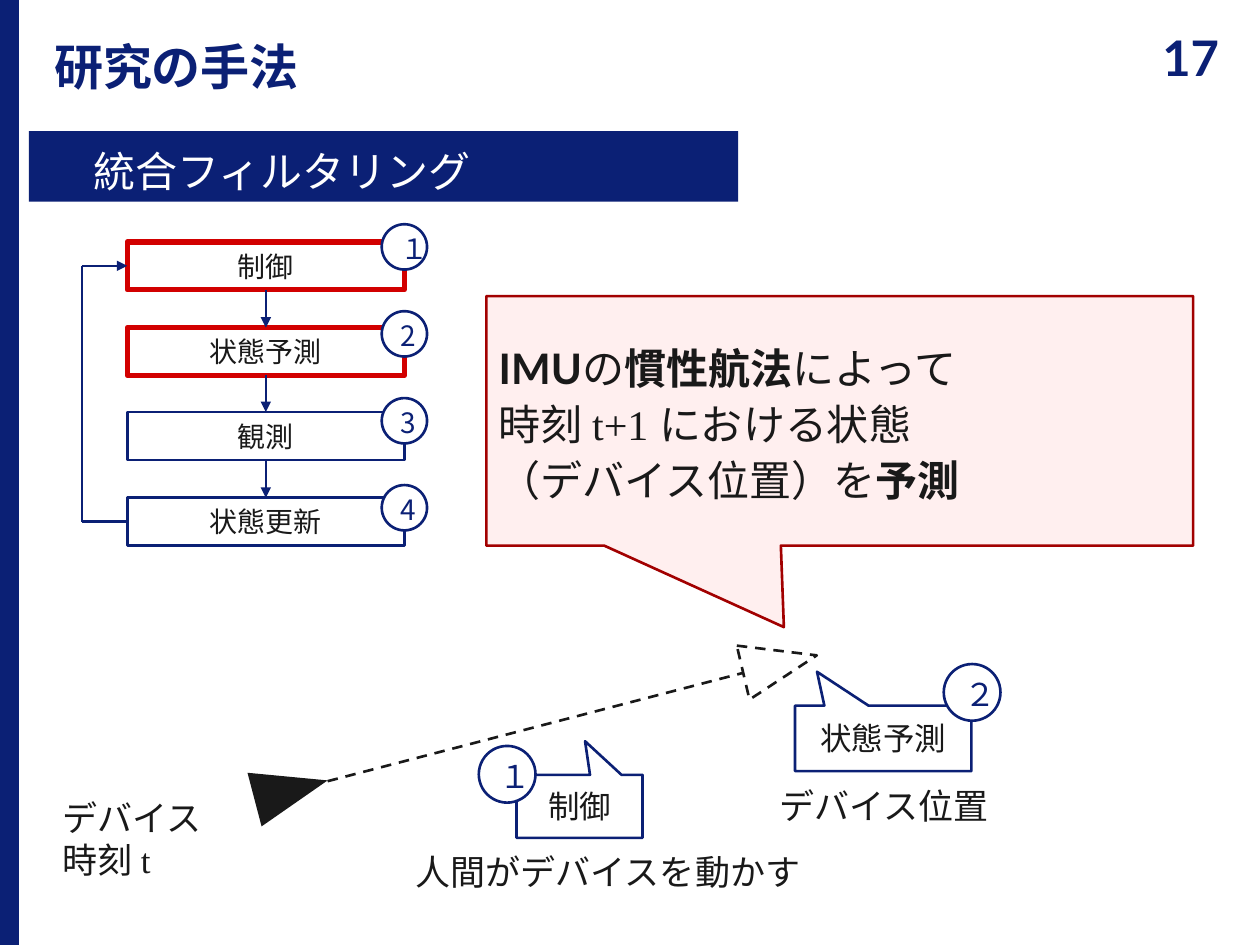
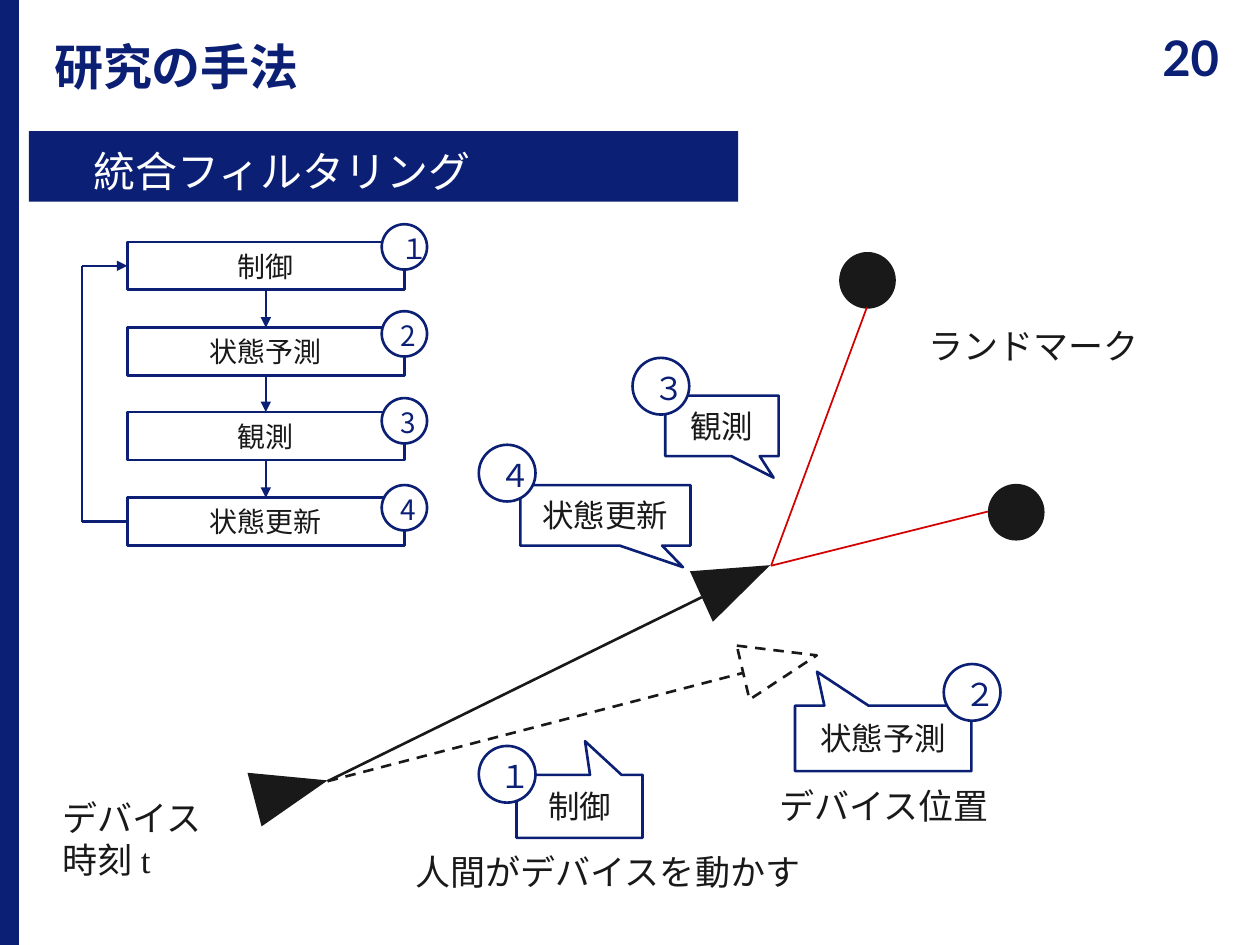
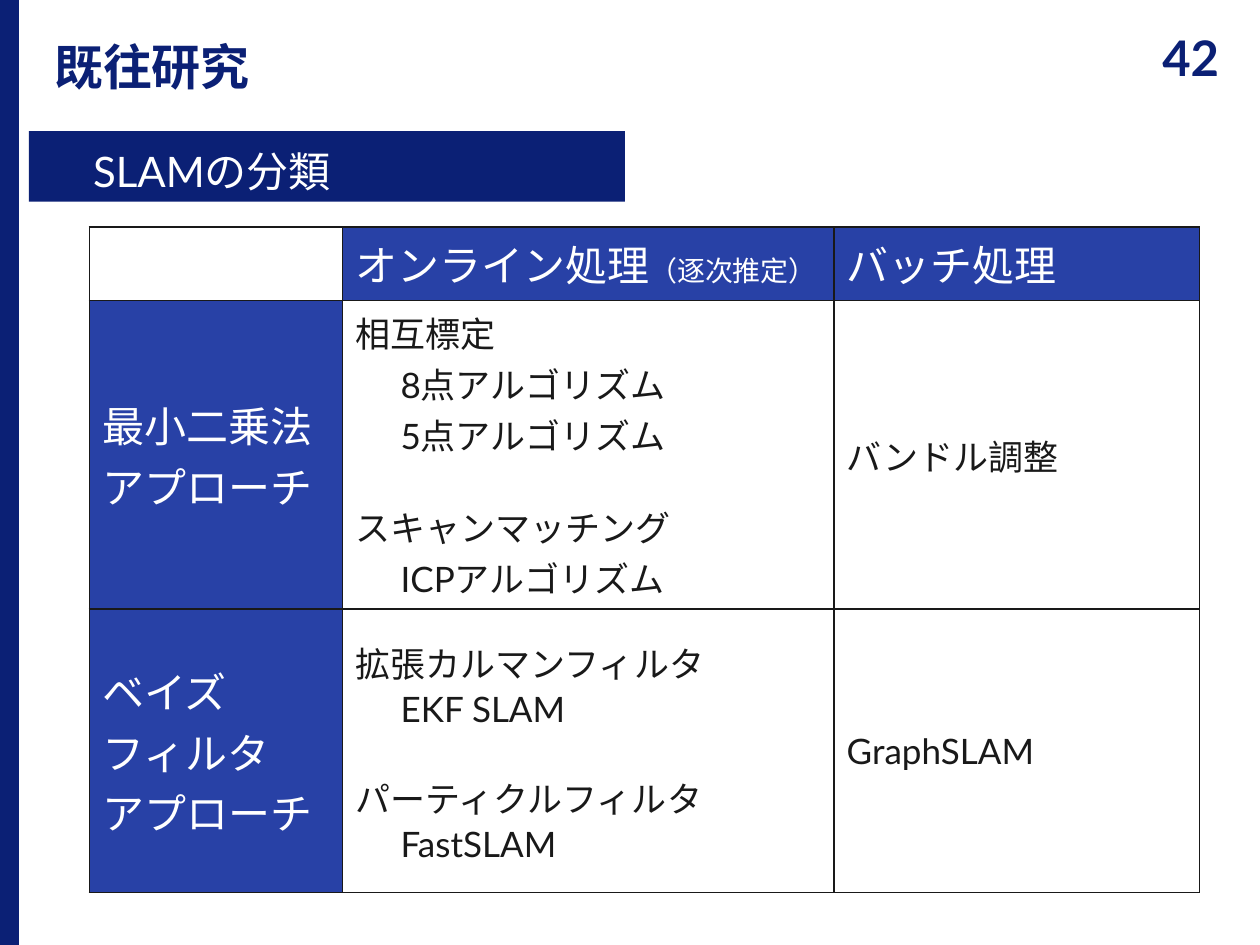
"""Build three slides on integrated filtering and the classification of SLAM."""
from dataclasses import dataclass

import pptx
import pptx.dml.color
import pptx.enum.dml
import pptx.enum.shapes
import pptx.enum.text
import pptx.oxml.ns
import pptx.slide
import pptx.util
from lxml import etree

PX = 9144
NAVY, BLUE, INK, WHITE = "0B2075", "2841A6", "191919", "FFFFFF"
RED, DARK_RED, PINK = "D20000", "A20000", "FFEFEF"
LATIN, SERIF, CJK = "Lato", "Times New Roman", "Noto Sans CJK JP"

SHAPE = pptx.enum.shapes.MSO_SHAPE
ALIGN = pptx.enum.text.PP_ALIGN
MIDDLE = pptx.enum.text.MSO_ANCHOR.MIDDLE
FIT = pptx.enum.text.MSO_AUTO_SIZE.SHAPE_TO_FIT_TEXT
DASH = pptx.enum.dml.MSO_LINE.DASH
qn = pptx.oxml.ns.qn

STEPS = ["制御", "状態予測", "観測", "状態更新"]
STEP_MARKS = ["１", "2", "3", "4"]
START, PREDICTED, UPDATED, POSE = (260, 620), (590, 534), (557, 474), (612, 449)
BADGE_INSETS = (10, 8, 10, 5)


@dataclass(frozen=True)
class Box:
    left: int
    top: int
    width: int
    height: int


@dataclass(frozen=True)
class Style:
    size: int
    color: str = INK
    name: str = LATIN
    bold: bool = False


@dataclass(frozen=True)
class Span:
    text: str
    style: Style


@dataclass(frozen=True)
class Callout:
    text: str
    box: Box
    tip: tuple[float, float]
    mark: str
    mark_left: int
    mark_top: int


@dataclass(frozen=True)
class Label:
    lines: list[str]
    box: Box
    name: str = LATIN


@dataclass(frozen=True)
class Line:
    text: str
    indented: bool = False
    gap: int = 0


MOTION_CALLOUTS = [
    Callout("制御", Box(410, 615, 100, 50), (0.044, -1.034), "１", 380, 592),
    Callout("状態予測", Box(631, 560, 140, 52), (-0.375, -1.017), "２", 749, 527),
]
UPDATE_CALLOUTS = [
    Callout("状態更新", Box(413, 385, 135, 48), (0.456, 0.857), "４", 380, 353),
    Callout("観測", Box(528, 314, 90, 48), (0.456, 0.857), "３", 502, 284),
]
MOTION_LABELS = [
    Label(["デバイス", "時刻 t"], Box(40, 627, 132, 77), SERIF),
    Label(["人間がデバイスを動かす"], Box(320, 670, 329, 44)),
    Label(["デバイス位置"], Box(609, 618, 188, 44)),
]


def px(length: float) -> int:
    """Convert px to EMU."""
    return round(length * PX)


def color(value: str) -> pptx.dml.color.RGBColor:
    """Return the colour of a hex string."""
    return pptx.dml.color.RGBColor.from_string(value)


def place(box: Box) -> tuple[int, int, int, int]:
    """Return the frame of a box in EMU."""
    return px(box.left), px(box.top), px(box.width), px(box.height)


def set_font(font, style: Style) -> None:
    """Apply a style to a font."""
    font.size = pptx.util.Pt(style.size)
    font.name = style.name
    font.bold = style.bold
    font.color.rgb = color(style.color)


def set_east_asian(para) -> None:
    """Give every font of a paragraph the Japanese typeface."""
    for latin in list(para._p.iter(qn("a:latin"))):
        east = etree.Element(qn("a:ea"), typeface=CJK)
        latin.addnext(east)


def write(para, text: str, style: Style, align=ALIGN.LEFT) -> None:
    """Write a paragraph in one style."""
    para.text = text
    para.alignment = align
    set_font(para.font, style)
    set_east_asian(para)


def write_spans(para, spans: list[Span]) -> None:
    """Write a paragraph of differently styled spans."""
    for span in spans:
        if span.text == "\n":
            para.add_line_break()
            continue
        run = para.add_run()
        run.text = span.text
        set_font(run.font, span.style)
    set_east_asian(para)


def set_insets(frame, insets: tuple[int, int, int, int]) -> None:
    """Set the left, top, right and bottom insets of a text frame."""
    frame.margin_left, frame.margin_top, frame.margin_right, frame.margin_bottom = map(px, insets)


def add_shape(page: pptx.slide.Slide, kind, box: Box, fill: str, line: str = "",
              weight: float = 1.5):
    """Add a flat preset shape."""
    shape = page.shapes.add_shape(kind, *place(box))
    shape.shadow.inherit = False
    shape.fill.solid()
    shape.fill.fore_color.rgb = color(fill)
    if line:
        shape.line.color.rgb = color(line)
        shape.line.width = pptx.util.Pt(weight)
    else:
        shape.line.fill.background()
    shape.text_frame.vertical_anchor = MIDDLE
    shape.text_frame.word_wrap = True
    return shape


def add_line(page: pptx.slide.Slide, start: tuple[int, int], end: tuple[int, int],
             line: str = NAVY, weight: float = 1.5, arrow: bool = False):
    """Add a straight connector."""
    connector = page.shapes.add_connector(
        pptx.enum.shapes.MSO_CONNECTOR.STRAIGHT, *map(px, start + end))
    connector.line.color.rgb = color(line)
    connector.line.width = pptx.util.Pt(weight)
    if arrow:
        outline = connector.line._get_or_add_ln()
        etree.SubElement(outline, qn("a:tailEnd"), type="triangle")
    etree.SubElement(connector._element.spPr, qn("a:effectLst"))
    return connector


def add_triangle(page: pptx.slide.Slide, left: int, top: int, angle: float,
                 dashed: bool = False) -> None:
    """Add a device marker pointing along its heading."""
    marker = add_shape(page, SHAPE.ISOSCELES_TRIANGLE, Box(left, top, 44, 60),
                       WHITE if dashed else INK, INK if dashed else "")
    marker.rotation = angle
    if dashed:
        marker.line.dash_style = DASH


def add_badge(page: pptx.slide.Slide, mark: str, left: int, top: int, size: int,
              style: Style) -> None:
    """Add a numbered circle."""
    badge = add_shape(page, SHAPE.OVAL, Box(left, top, size, size), WHITE, NAVY)
    set_insets(badge.text_frame, BADGE_INSETS)
    write(badge.text_frame.paragraphs[0], mark, style, ALIGN.CENTER)


def add_callout(page: pptx.slide.Slide, callout: Callout) -> None:
    """Add a step callout with its numbered circle."""
    bubble = add_shape(page, SHAPE.RECTANGULAR_CALLOUT, callout.box, WHITE, NAVY)
    bubble.adjustments[0], bubble.adjustments[1] = callout.tip
    write(bubble.text_frame.paragraphs[0], callout.text, Style(18), ALIGN.CENTER)
    add_badge(page, callout.mark, callout.mark_left, callout.mark_top, 45, Style(18, NAVY))


def add_label(page: pptx.slide.Slide, label: Label) -> None:
    """Add a free text label."""
    frame = page.shapes.add_textbox(*place(label.box)).text_frame
    frame.word_wrap = False
    frame.auto_size = FIT
    for index, text in enumerate(label.lines):
        para = frame.add_paragraph() if index else frame.paragraphs[0]
        write(para, text, Style(20, name=label.name))


def add_page(deck, number: int, title: str, heading: str, band_width: int) -> pptx.slide.Slide:
    """Add a slide with side bar, title, page number and heading band."""
    page = deck.slides.add_slide(deck.slide_layouts[5])
    add_shape(page, SHAPE.RECTANGLE, Box(0, 0, 15, 750), NAVY)
    holder = page.shapes.title
    holder.left, holder.top, holder.width, holder.height = place(Box(0, 0, 890, 91))
    corner = page.shapes.add_textbox(*place(Box(890, 0, 110, 91)))
    band = add_shape(page, SHAPE.RECTANGLE, Box(23, 104, band_width, 56), NAVY)
    set_insets(holder.text_frame, (43, 20, 0, 0))
    set_insets(band.text_frame, (51, 12, 10, 0))
    bold = Style(28, NAVY, bold=True)
    for shape, text, style, align in (
        (holder, title, bold, ALIGN.LEFT),
        (corner, str(number), bold, ALIGN.CENTER),
        (band, heading, Style(24, WHITE), ALIGN.LEFT),
    ):
        frame = shape.text_frame
        frame.word_wrap = True
        frame.auto_size = pptx.enum.text.MSO_AUTO_SIZE.NONE
        frame.vertical_anchor = MIDDLE
        write(frame.paragraphs[0], text, style, align)
    holder.text_frame.paragraphs[0].line_spacing = 0.9
    heading_para = band.text_frame.paragraphs[0]
    heading_para.line_spacing = 0.9
    heading_para.space_before = pptx.util.Pt(10)
    return page


def add_flow(page: pptx.slide.Slide, active: int) -> None:
    """Add the loop of four steps, with the first ones outlined in red."""
    boxes = []
    for index, step in enumerate(STEPS):
        line, weight = (RED, 3) if index < active else (NAVY, 1.5)
        box = add_shape(page, SHAPE.RECTANGLE,
                        Box(101, round(192 + 203 * index / 3), 220, 38), WHITE, line, weight)
        write(box.text_frame.paragraphs[0], step, Style(16), ALIGN.CENTER)
        boxes.append(box)
    for upper, lower in zip(boxes, boxes[1:]):
        arrow = add_line(page, (211, 229), (211, 260), arrow=True)
        arrow.begin_connect(upper, 2)
        arrow.end_connect(lower, 0)
    add_line(page, (101, 414), (65, 414)).begin_connect(boxes[-1], 1)
    add_line(page, (65, 414), (65, 211))
    add_line(page, (65, 211), (101, 211), arrow=True).end_connect(boxes[0], 1)
    for index, mark in enumerate(STEP_MARKS):
        add_badge(page, mark, 303, 178 + 69 * index, 36, Style(16, NAVY, CJK))


def add_motion(page: pptx.slide.Slide) -> None:
    """Add the predicted motion of the device."""
    add_triangle(page, 209, 597, 75.3)
    add_triangle(page, 597, 497, 76.8, dashed=True)
    add_line(page, START, PREDICTED, INK).line.dash_style = DASH
    for callout in MOTION_CALLOUTS:
        add_callout(page, callout)
    for label in MOTION_LABELS:
        add_label(page, label)


def build_prediction(deck) -> None:
    """Build the slide on state prediction."""
    page = add_page(deck, 17, "研究の手法", "統合フィルタリング", 563)
    add_motion(page)
    add_flow(page, 2)
    note = add_shape(page, SHAPE.RECTANGULAR_CALLOUT, Box(386, 235, 561, 198), PINK, DARK_RED)
    note.adjustments[0], note.adjustments[1] = -0.079, 0.827
    plain, bold, serif = Style(24), Style(24, bold=True), Style(24, name=SERIF)
    frame = note.text_frame
    write_spans(frame.paragraphs[0], [
        Span("IMU", bold), Span("の", plain), Span("慣性航法", bold), Span("によって", plain)])
    write_spans(frame.add_paragraph(), [
        Span("時刻 t+1 ", serif), Span("における状態", plain), Span("\n", plain),
        Span("（デバイス位置）を", plain), Span("予測", bold)])
    for para in frame.paragraphs:
        para.alignment = ALIGN.LEFT
        para.line_spacing = pptx.util.Pt(32)


def build_update(deck) -> None:
    """Build the slide on observation and state update."""
    page = add_page(deck, 20, "研究の手法", "統合フィルタリング", 563)
    add_triangle(page, 562, 431, 65.5)
    add_line(page, START, UPDATED, INK)
    for left, top, end in ((784, 384, (784, 406)), (666, 200, (688, 244))):
        add_shape(page, SHAPE.OVAL, Box(left, top, 45, 45), INK)
        add_line(page, POSE, end, RED, 1)
    add_motion(page)
    add_flow(page, 0)
    for callout in UPDATE_CALLOUTS:
        add_callout(page, callout)
    add_label(page, Label(["ランドマーク"], Box(727, 253, 202, 45), SERIF))


def add_borders(cell) -> None:
    """Draw thin lines around a cell."""
    properties = cell._tc.get_or_add_tcPr()
    for index, side in enumerate(("lnL", "lnR", "lnT", "lnB")):
        border = etree.Element(qn(f"a:{side}"), w=str(pptx.util.Pt(1)))
        fill = etree.SubElement(border, qn("a:solidFill"))
        etree.SubElement(fill, qn("a:srgbClr"), val=INK)
        properties.insert(index, border)


def fill_cell(cell, lines: list[Line], header: bool) -> None:
    """Write the lines of a table cell."""
    style = Style(24, WHITE) if header else Style(20)
    for index, line in enumerate(lines):
        para = cell.text_frame.add_paragraph() if index else cell.text_frame.paragraphs[0]
        write(para, line.text, style)
        if line.gap:
            para.space_before = pptx.util.Pt(line.gap)
        if line.indented:
            para._p.get_or_add_pPr().set("marL", str(px(36)))


def build_classification(deck) -> None:
    """Build the slide with the table of SLAM methods."""
    page = add_page(deck, 42, "既往研究", "SLAMの分類", 473)
    rows = [
        [[], [], [Line("バッチ処理")]],
        [[Line("最小二乗法"), Line("アプローチ")],
         [Line("相互標定"), Line("8点アルゴリズム", True), Line("5点アルゴリズム", True),
          Line("スキャンマッチング", gap=24), Line("ICPアルゴリズム", True)],
         [Line("バンドル調整")]],
        [[Line("ベイズ\vフィルタ"), Line("アプローチ")],
         [Line("拡張カルマンフィルタ"), Line("EKF SLAM", True),
          Line("パーティクルフィルタ", gap=24), Line("FastSLAM", True)],
         [Line("GraphSLAM")]],
    ]
    table = page.shapes.add_table(3, 3, *place(Box(71, 180, 881, 508))).table
    for column, width in zip(table.columns, (201, 390, 290)):
        column.width = px(width)
    for row, height in zip(table.rows, (57, 225, 225)):
        row.height = px(height)
    for top, row in enumerate(rows):
        for left, lines in enumerate(row):
            cell = table.cell(top, left)
            header = (top == 0) != (left == 0)
            cell.vertical_anchor = MIDDLE
            cell.fill.solid()
            cell.fill.fore_color.rgb = color(BLUE if header else WHITE)
            add_borders(cell)
            fill_cell(cell, lines, header)
    write_spans(table.cell(0, 1).text_frame.paragraphs[0], [
        Span("オンライン処理", Style(24, WHITE)), Span("（逐次推定）", Style(16, WHITE))])


def main() -> None:
    """Build and save the deck."""
    deck = pptx.Presentation()
    deck.slide_width, deck.slide_height = px(1000), px(750)
    build_prediction(deck)
    build_update(deck)
    build_classification(deck)
    deck.save("out.pptx")


if __name__ == "__main__":
    main()
